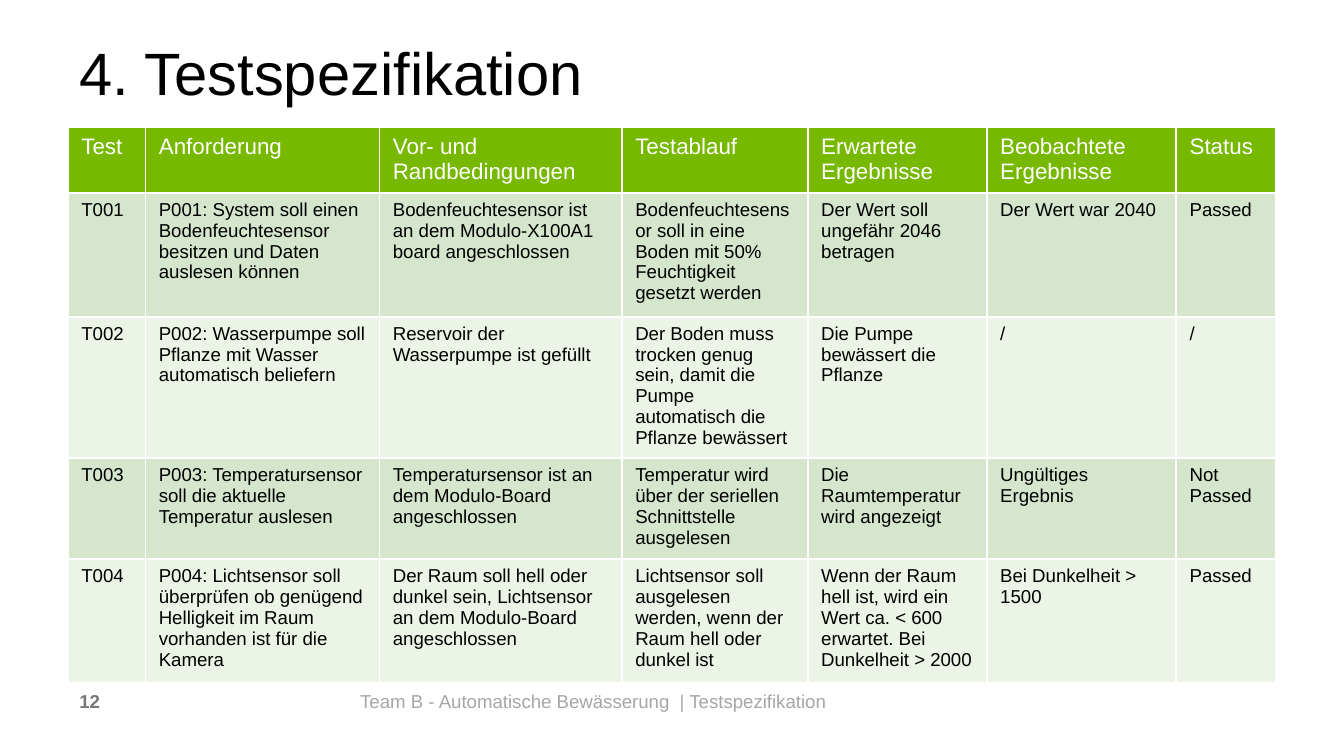
"""Build the test specification slide with its results table."""
from pptx import Presentation
from pptx.dml.color import RGBColor
from pptx.util import Pt

FONT = "Arial"
WHITE, BLACK, GREEN = "FFFFFF", "000000", "76B900"
BANDS = ["D6E6CC", "ECF3E7"]
COLUMN_WIDTHS = [41.5, 125.4, 129.9, 99.6, 95.9, 101.5, 53.3]
ROW_HEIGHTS = [35.3, 66.4, 74.5, 54.2, 66]
TEXTS = [
    (42.5, 23.8, 592.5, 34.5, "4. Testspezifikation", 32, BLACK, False),
    (193, 369.4, 432, 14.4, "Team B - Automatische Bewässerung  | Testspezifikation",
     10, "A6A6A6", False),
    (42.5, 369.4, 136, 14.4, "12", 10, "787878", True),
]
ROWS = [
    ["Test", "Anforderung", "Vor- und Randbedingungen", "Testablauf",
     "Erwartete Ergebnisse", "Beobachtete Ergebnisse", "Status"],
    ["T001",
     "P001: System soll einen Bodenfeuchtesensor besitzen und Daten auslesen können",
     "Bodenfeuchtesensor ist an dem Modulo-X100A1 board angeschlossen",
     "Bodenfeuchtesensor soll in eine Boden mit 50% Feuchtigkeit gesetzt werden",
     "Der Wert soll ungefähr 2046 betragen", "Der Wert war 2040", "Passed"],
    ["T002",
     "P002: Wasserpumpe soll Pflanze mit Wasser automatisch beliefern",
     "Reservoir der Wasserpumpe ist gefüllt",
     "Der Boden muss trocken genug sein, damit die Pumpe automatisch die Pflanze bewässert",
     "Die Pumpe bewässert die Pflanze", "/", "/"],
    ["T003",
     "P003: Temperatursensor soll die aktuelle Temperatur auslesen",
     "Temperatursensor ist an dem Modulo-Board angeschlossen",
     "Temperatur wird über der seriellen Schnittstelle ausgelesen",
     "Die Raumtemperatur wird angezeigt", "Ungültiges Ergebnis", "Not Passed"],
    ["T004",
     "P004: Lichtsensor soll überprüfen ob genügend Helligkeit im Raum vorhanden ist für die Kamera",
     "Der Raum soll hell oder dunkel sein, Lichtsensor an dem Modulo-Board angeschlossen",
     "Lichtsensor soll ausgelesen werden, wenn der Raum hell oder dunkel ist",
     "Wenn der Raum hell ist, wird ein Wert ca. < 600 erwartet. Bei Dunkelheit > 2000",
     "Bei Dunkelheit > 1500", "Passed"],
]


def color(value):
    return RGBColor.from_string(value)


def write(frame, text, size, ink, bold=False):
    para = frame.paragraphs[0]
    para.text = text
    para.font.name = FONT
    para.font.size = Pt(size)
    para.font.bold = bold
    para.font.color.rgb = color(ink)
    return para


deck = Presentation()
deck.slide_width, deck.slide_height = Pt(720), Pt(405)
page = deck.slides.add_slide(deck.slide_layouts[6])

for left, top, width, height, text, size, ink, bold in TEXTS:
    box = page.shapes.add_textbox(Pt(left), Pt(top), Pt(width), Pt(height))
    frame = box.text_frame
    frame.word_wrap = True
    frame.margin_left = frame.margin_right = 0
    frame.margin_top = frame.margin_bottom = 0
    para = write(frame, text, size, ink, bold)
    if size == 32:
        para.line_spacing = Pt(34)

table = page.shapes.add_table(
    len(ROWS), len(COLUMN_WIDTHS), Pt(36.4), Pt(68),
    Pt(sum(COLUMN_WIDTHS)), Pt(sum(ROW_HEIGHTS))).table
for column, width in zip(table.columns, COLUMN_WIDTHS):
    column.width = Pt(width)

for r, (texts, height) in enumerate(zip(ROWS, ROW_HEIGHTS)):
    table.rows[r].height = Pt(height)
    header = r == 0
    for c, text in enumerate(texts):
        cell = table.cell(r, c)
        cell.margin_bottom = 0
        write(cell.text_frame, text, 12 if header else 10, WHITE if header else BLACK)
        cell.fill.solid()
        cell.fill.fore_color.rgb = color(GREEN if header else BANDS[(r - 1) % 2])

deck.save("out.pptx")
